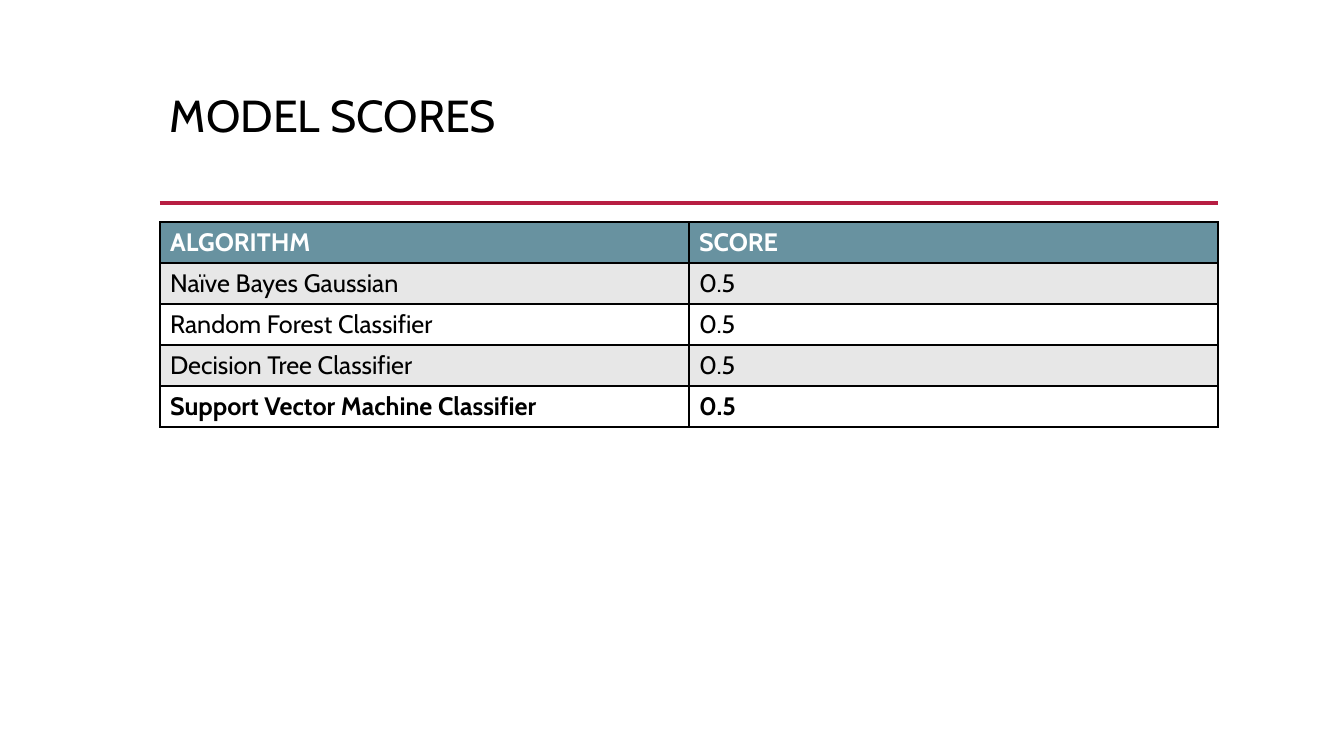
from lxml import etree
from pptx import Presentation
from pptx.dml.color import RGBColor
from pptx.enum.shapes import MSO_CONNECTOR
from pptx.enum.text import MSO_ANCHOR
from pptx.oxml.ns import qn
from pptx.util import Emu, Pt

STRAIGHT = MSO_CONNECTOR.STRAIGHT
TOP = MSO_ANCHOR.TOP
SCALE = 914400 / 100.8  # EMU in one px

THEME = {
    "font": "Cabin",
    "title_size": 32,
    "cell_size": 18,
    "ink": "000000",
    "paper": "FFFFFF",
    "header": "6892A0",
    "band": "E7E7E7",
    "rule": "B71E42",
}

SCORES = [
    ("ALGORITHM", "SCORE"),
    ("Naïve Bayes Gaussian", "0.5"),
    ("Random Forest Classifier", "0.5"),
    ("Decision Tree Classifier", "0.5"),
    ("Support Vector Machine Classifier", "0.5"),
]
LEFT, WIDTH = 160, 1058
TABLE_TOP, ROW_HEIGHT = 222, 41


def px(length):
    return Emu(round(length * SCALE))


def write(frame, text, size, color="ink", bold=False, line_spacing=1.0):
    para = frame.paragraphs[0]
    para.line_spacing = line_spacing
    span = para.add_run()
    span.text = text
    span.font.name = THEME["font"]
    span.font.size = Pt(THEME[size])
    span.font.bold = bold
    span.font.color.rgb = RGBColor.from_string(THEME[color])


deck = Presentation()
deck.slide_width, deck.slide_height = px(1344), px(756)
page = deck.slides.add_slide(deck.slide_layouts[6])
page.background.fill.solid()
page.background.fill.fore_color.rgb = RGBColor.from_string(THEME["paper"])

# Rule under the title
rule = page.shapes.add_connector(STRAIGHT, px(LEFT), px(203), px(LEFT + WIDTH), px(203))
rule.line.color.rgb = RGBColor.from_string(THEME["rule"])
rule.line.width = Pt(2.5)
etree.SubElement(rule.line._get_or_add_ln().getparent(), qn("a:effectLst"))

# Title
box = page.shapes.add_textbox(px(LEFT), px(89), px(WIDTH), px(115))
box.text_frame.word_wrap = True
box.text_frame.vertical_anchor = TOP
write(box.text_frame, "MODEL SCORES", "title_size", line_spacing=0.9)

# Score table: header row, alternating bands, last row in bold
table = page.shapes.add_table(
    len(SCORES), 2, px(LEFT), px(TABLE_TOP), px(WIDTH), px(ROW_HEIGHT * len(SCORES))
).table
for row_index, row in enumerate(SCORES):
    is_header = row_index == 0
    is_last = row_index == len(SCORES) - 1
    fill = "header" if is_header else "band" if row_index % 2 else "paper"
    for column_index, text in enumerate(row):
        cell = table.cell(row_index, column_index)
        write(cell.text_frame, text, "cell_size",
              color="paper" if is_header else "ink", bold=is_header or is_last)
        cell.fill.solid()
        cell.fill.fore_color.rgb = RGBColor.from_string(THEME[fill])

        # Borders go before the fill in the cell properties
        properties = cell._tc.get_or_add_tcPr()
        for position, side in enumerate(("a:lnL", "a:lnR", "a:lnT", "a:lnB")):
            border = etree.Element(qn(side), w=str(Pt(1)))
            solid = etree.SubElement(border, qn("a:solidFill"))
            etree.SubElement(solid, qn("a:srgbClr"), val=THEME["ink"])
            properties.insert(position, border)

deck.save("out.pptx")
